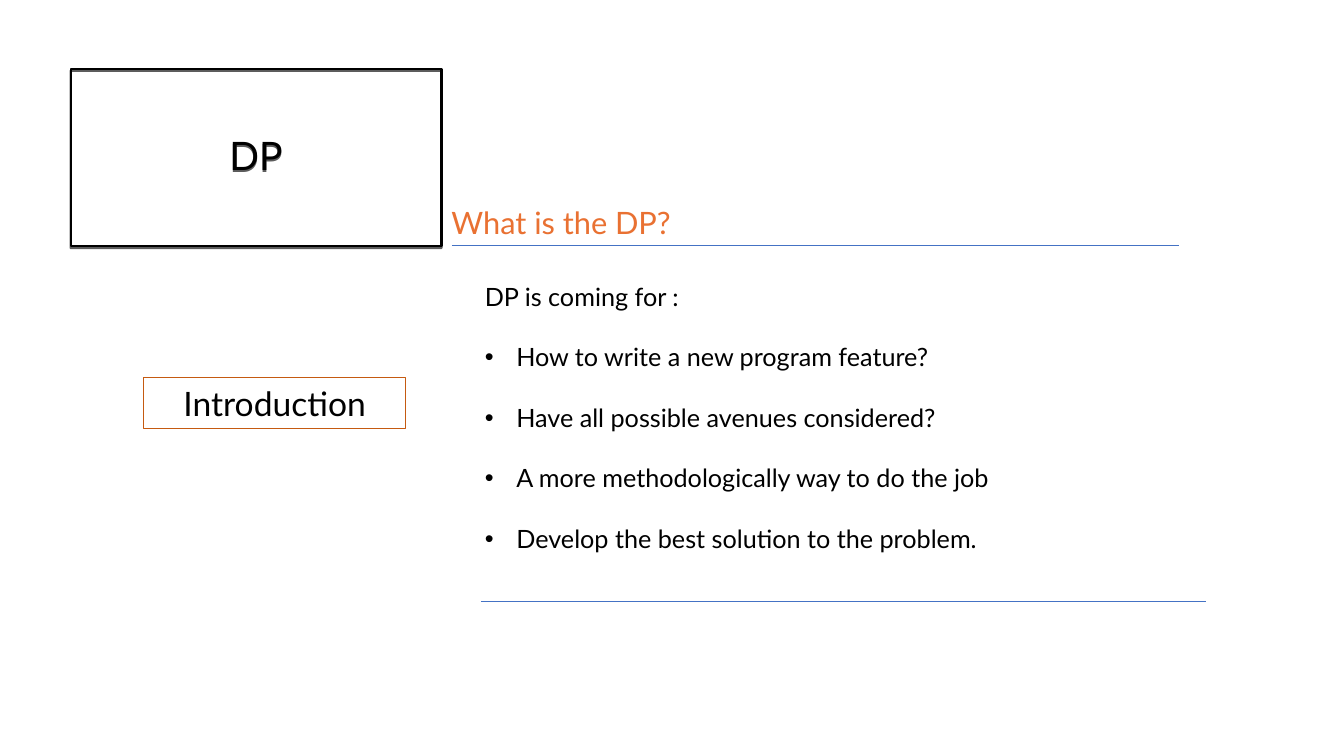
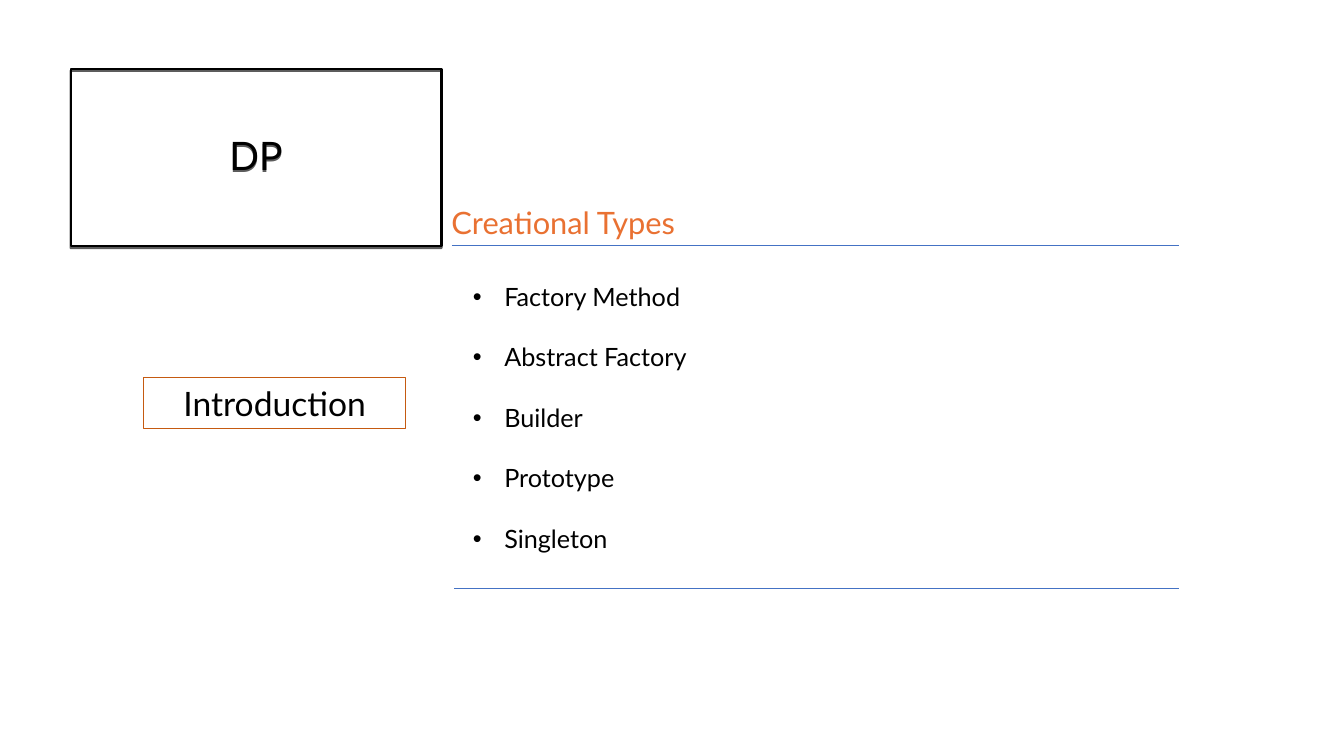
from lxml import etree
from pptx import Presentation
from pptx.dml.color import RGBColor
from pptx.enum import shapes, text
from pptx.oxml import ns
from pptx.util import Pt

# Content: a plain lead line, then bullets
SLIDES = [
    {
        "heading": "What is the DP?",
        "lead": ["DP is coming for :"],
        "bullets": [
            "How to write a new program feature?",
            "Have all possible avenues considered?",
            "A more methodologically way to do the job",
            "Develop the best solution to the problem.",
        ],
        "body_left": 339.2,
        "end_rule": (343.5, 861.6, 429.6),
    },
    {
        "heading": "Creational Types",
        "lead": [],
        "bullets": ["Factory Method", "Abstract Factory", "Builder", "Prototype", "Singleton"],
        "body_left": 330.6,
        "end_rule": (324.5, 842.1, 420.3),
    },
]
TITLE = "DP"
SECTION = "Introduction"

# Shared style
FONT = "Lato"
COLORS = {"ink": "000000", "heading": "E97132", "rule": "4472C4", "section": "C55A11"}
TITLE_BOX = (50.4, 49, 265, 126.7)
SECTION_BOX = (102.4, 269.8, 187.5, 36.2)
HEADING_BOX = (315.4, 142, 480, 33.6)
HEADING_RULE = (322.8, 842.1, 175.5)
BODY_TOP, BODY_WIDTH, BODY_HEIGHT = 197.4, 527, 203.8
BULLET_INDENT = 22.5
BODY_GAP = 21.6


def color(name):
    return RGBColor.from_string(COLORS[name])


def points(values):
    return [Pt(value) for value in values]


def add_effects(shape):
    return etree.SubElement(shape._element.spPr, ns.qn("a:effectLst"))


def add_text(paragraph, words, size, color_name="ink"):
    run = paragraph.add_run()
    run.text = words
    run.font.name = FONT
    run.font.size = Pt(size)
    run.font.color.rgb = color(color_name)


def set_frame(shape, anchor=text.MSO_ANCHOR.TOP):
    frame = shape.text_frame
    frame.word_wrap = True
    frame.auto_size = text.MSO_AUTO_SIZE.NONE
    frame.vertical_anchor = anchor
    return frame


def set_outline(shape, color_name, width):
    shape.fill.background()
    shape.line.color.rgb = color(color_name)
    shape.line.width = Pt(width)


def add_rule(slide, left, right, top):
    rule = slide.shapes.add_connector(
        shapes.MSO_CONNECTOR.STRAIGHT, *points((left, top, right, top)))
    rule.line.color.rgb = color("rule")
    rule.line.width = Pt(0.5)
    add_effects(rule)


def add_title(slide):
    title = slide.shapes.title
    title.left, title.top, title.width, title.height = points(TITLE_BOX)
    set_outline(title, "ink", 1.5)
    shadow = etree.SubElement(
        add_effects(title), ns.qn("a:outerShdw"),
        blurRad="0", dist=str(Pt(1.5)), dir="5400000", algn="t", rotWithShape="0")
    shade = etree.SubElement(shadow, ns.qn("a:srgbClr"), val=COLORS["ink"])
    etree.SubElement(shade, ns.qn("a:alpha"), val="63000")
    paragraph = set_frame(title, text.MSO_ANCHOR.MIDDLE).paragraphs[0]
    paragraph.alignment = text.PP_ALIGN.CENTER
    paragraph.line_spacing = 0.9
    add_text(paragraph, TITLE, 28)


def add_section(slide):
    box = slide.shapes.add_shape(shapes.MSO_SHAPE.RECTANGLE, *points(SECTION_BOX))
    box.shadow.inherit = False
    set_outline(box, "section", 0.75)
    paragraph = set_frame(box).paragraphs[0]
    paragraph.alignment = text.PP_ALIGN.CENTER
    add_text(paragraph, SECTION, 24)


def add_heading(slide, words):
    box = slide.shapes.add_textbox(*points(HEADING_BOX))
    add_text(set_frame(box).paragraphs[0], words, 22, "heading")


def add_bullet(paragraph):
    properties = paragraph._p.get_or_add_pPr()
    properties.set("marL", str(Pt(BULLET_INDENT)))
    properties.set("indent", str(-Pt(BULLET_INDENT)))
    etree.SubElement(properties, ns.qn("a:buFont"), typeface="Arial")
    etree.SubElement(properties, ns.qn("a:buChar"), char="•")


def add_body(slide, content):
    box = slide.shapes.add_textbox(
        *points((content["body_left"], BODY_TOP, BODY_WIDTH, BODY_HEIGHT)))
    frame = set_frame(box)
    lead = content["lead"]
    for index, words in enumerate(lead + content["bullets"]):
        paragraph = frame.add_paragraph() if index else frame.paragraphs[0]
        if index >= len(lead):
            add_bullet(paragraph)
        if index:
            paragraph.space_before = Pt(BODY_GAP)
        add_text(paragraph, words, 18)


def main():
    presentation = Presentation()
    presentation.slide_width, presentation.slide_height = Pt(960), Pt(540)
    title_only = presentation.slide_layouts[5]
    for content in SLIDES:
        slide = presentation.slides.add_slide(title_only)
        add_title(slide)
        add_rule(slide, *HEADING_RULE)
        add_rule(slide, *content["end_rule"])
        add_section(slide)
        add_heading(slide, content["heading"])
        add_body(slide, content)
    presentation.save("out.pptx")


if __name__ == "__main__":
    main()
